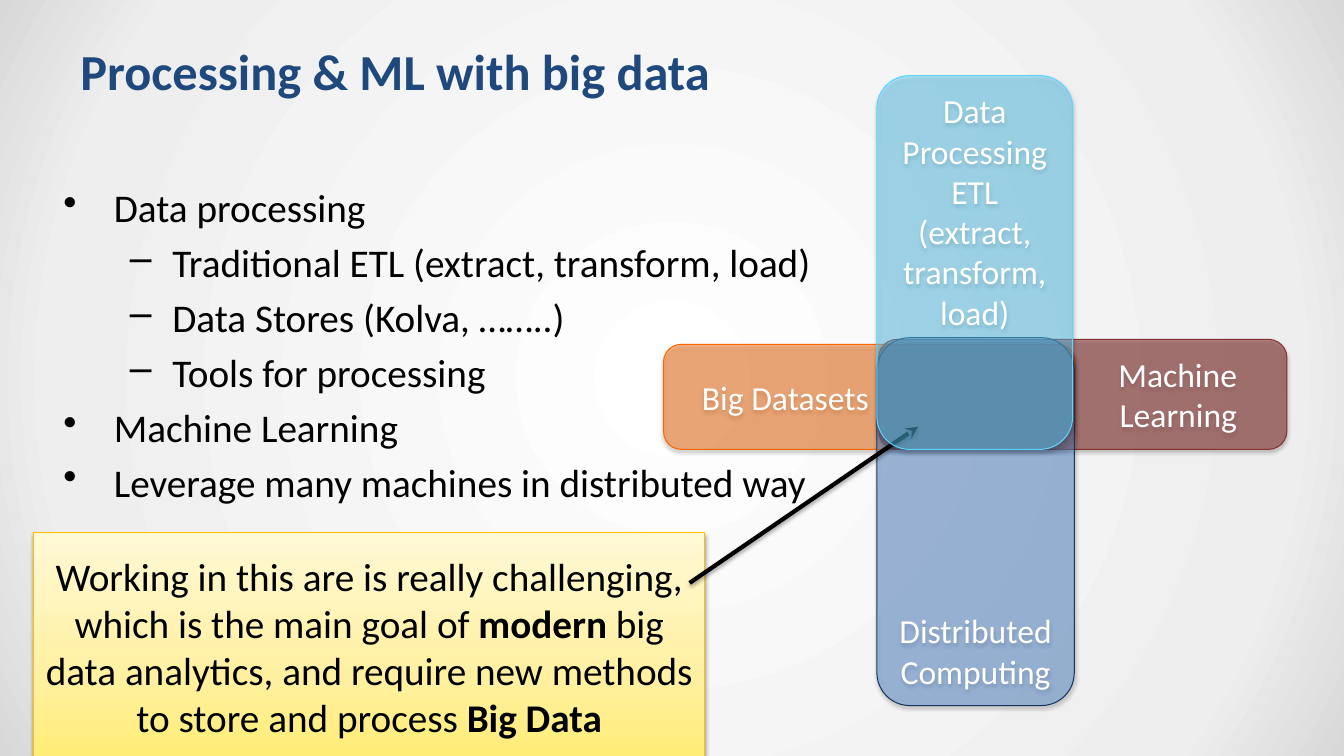
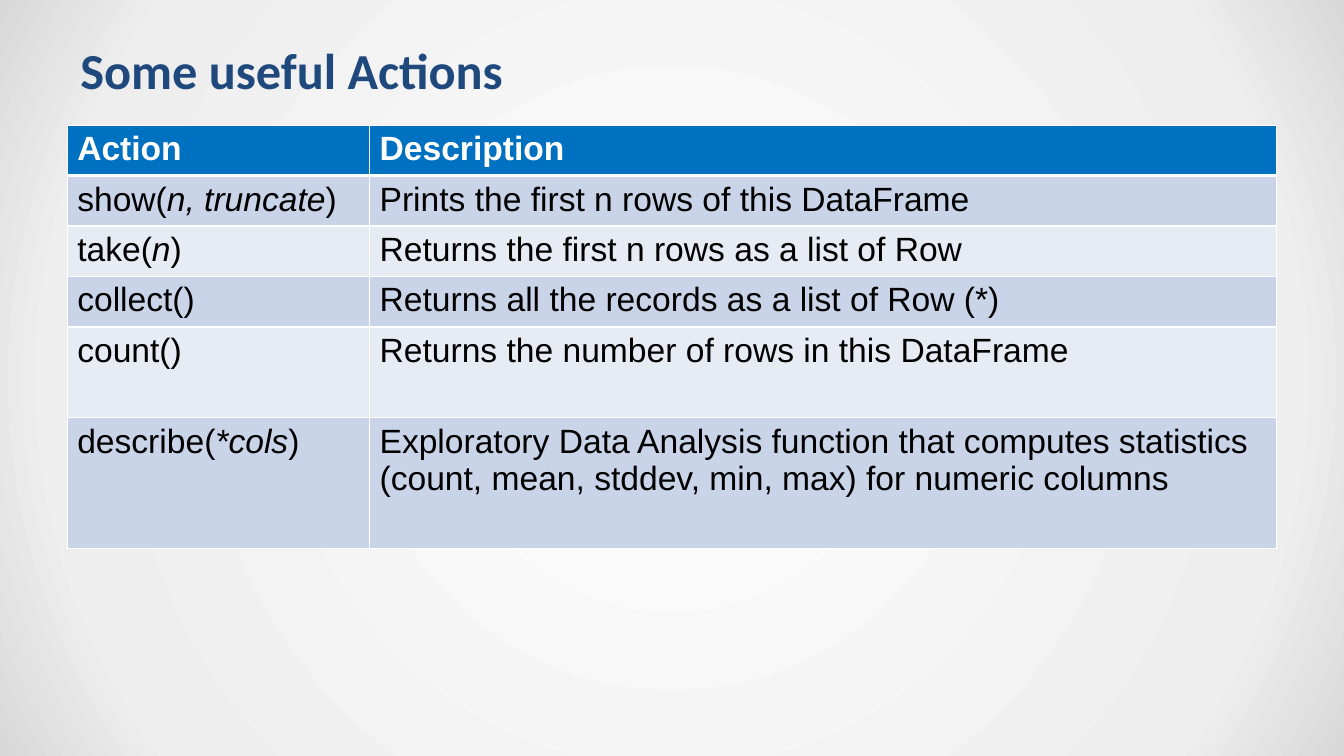
from lxml import etree
from pptx import Presentation
from pptx.dml.color import RGBColor
from pptx.enum.shapes import MSO_CONNECTOR, MSO_SHAPE
from pptx.enum.text import MSO_ANCHOR, PP_ALIGN
from pptx.oxml import parse_xml
from pptx.oxml.ns import nsdecls, qn
from pptx.util import Inches, Pt

LEFT, CENTER, RIGHT = PP_ALIGN.LEFT, PP_ALIGN.CENTER, PP_ALIGN.RIGHT
TOP, MIDDLE, BOTTOM = MSO_ANCHOR.TOP, MSO_ANCHOR.MIDDLE, MSO_ANCHOR.BOTTOM
ROUNDED, RECTANGLE = MSO_SHAPE.FLOWCHART_ALTERNATE_PROCESS, MSO_SHAPE.RECTANGLE

BLACK = RGBColor(0x00, 0x00, 0x00)
WHITE = RGBColor(0xFF, 0xFF, 0xFF)
NAVY = RGBColor(0x1F, 0x49, 0x7D)
ORANGE = RGBColor(0xFF, 0x66, 0x00)
MAROON = RGBColor(0x86, 0x32, 0x2F)
BLUE = RGBColor(0x53, 0x8C, 0xD5)
DEEP_BLUE = RGBColor(0x17, 0x36, 0x5D)
SKY = RGBColor(0x5D, 0xD3, 0xFF)
GOLD = RGBColor(0xFF, 0xBE, 0x00)
HEADER_BLUE = RGBColor(0x00, 0x70, 0xC0)
BANDS = RGBColor(0xCA, 0xD4, 0xE8), RGBColor(0xE6, 0xEB, 0xF4)
BACKDROP = [(0, WHITE), (81, RGBColor(0xEE, 0xEE, 0xEE)), (100, RGBColor(0xD8, 0xD8, 0xD8))]
NOTE_YELLOWS = [(0, RGBColor(0xFF, 0xED, 0x74)), (35, RGBColor(0xFF, 0xF0, 0x9F)),
                (100, RGBColor(0xFF, 0xF9, 0xD6))]
CENTRED_CIRCLE = '<a:path path="circle"><a:fillToRect l="50000" t="50000" r="50000" b="50000"/></a:path>'
UPWARD = '<a:lin ang="16200000" scaled="0"/>'

# All places are in cells of a grid of 160 columns by 90 rows
COLS, ROWS = 160, 90
SLIDE_W, SLIDE_H = Inches(13.333), Inches(7.5)
TITLE_LEFT, TITLE_TOP = 8, 3.6
PAD = (0.1, 0.05, 0.1, 0.05)
TEXT_PAD = (0.13, 0.07, 0.13, 0.07)

# Level of each topic, then its text
TOPICS = [
    (0, "Data processing"),
    (1, "Traditional ETL (extract, transform, load)"),
    (1, "Data Stores (Kolva, ……..)"),
    (1, "Tools for processing"),
    (0, "Machine Learning"),
    (0, "Leverage many machines in distributed way"),
]
BULLETS = [("•", 0.5, -0.5), ("–", 1.08, -0.42)]  # mark, margin, indent

# Place, fill, opacity, outline, paragraphs, alignment, anchor, padding
ARMS = [
    ((79, 41, 49, 12.5), ORANGE, 45, ORANGE, ["Big Datasets"],
     LEFT, MIDDLE, (0.33, 0.05, 0.1, 0.05)),
    ((104.6, 40.4, 48.6, 13.1), MAROON, 57, MAROON, ["Machine", "Learning"],
     RIGHT, MIDDLE, (0.1, 0.05, 0.44, 0.05)),
    ((104.4, 40.2, 23.5, 43.8), BLUE, 45, DEEP_BLUE, ["Distributed Computing"],
     CENTER, BOTTOM, PAD),
]
ETL_ARM = ((104.4, 9, 23.3, 44.5), SKY, 45, SKY,
           ["Data Processing ETL (extract, transform, load)"], CENTER, TOP, PAD)

# In a tuple of text parts, every second part is emphasised
NOTE = ("Working in this are is really challenging, which is the main goal of ", "modern",
        " big data analytics, and require new methods to store and process ", "Big Data")
NOTE_PLACE = (4, 63.4, 79.9, 27.1)
ARROW = (82.1, 69.4), (109.3, 50.8)

ACTIONS = [
    (("Action",), "Description", 6),
    (("show(", "n, truncate", ")"), "Prints the first n rows of this DataFrame", 6),
    (("take(", "n", ")"), "Returns the first n rows as a list of Row", 6),
    (("collect()",), "Returns all the records as a list of Row (*)", 6),
    (("count()",), "Returns the number of rows in this DataFrame", 10.8),
    (("describe(", "*cols", ")"), "Exploratory Data Analysis function that computes statistics "
     "(count, mean, stddev, min, max) for numeric columns", 15.6),
]
ACTION_COLUMNS = (36, 108)


def x(cols):
    return int(SLIDE_W * cols / COLS)


def y(rows):
    return int(SLIDE_H * rows / ROWS)


def box(left, top, width, height):
    return x(left), y(top), x(width), y(height)


def make_gradient(fill, parent, stops, direction):
    """Turn the fill held by parent into a gradient of any number of stops."""
    fill.solid()
    marks = "".join(f'<a:gs pos="{pos * 1000}"><a:srgbClr val="{color}"/></a:gs>'
                    for pos, color in stops)
    solid = next(parent.iter(qn("a:solidFill")))
    solid.getparent().replace(solid, parse_xml(
        f'<a:gradFill {nsdecls("a")} rotWithShape="1"><a:gsLst>{marks}</a:gsLst>{direction}</a:gradFill>'))


def add_shadow(properties):
    """Give a shape or connector a soft shadow straight below it."""
    properties.append(parse_xml(
        f'<a:effectLst {nsdecls("a")}><a:outerShdw blurRad="{Pt(3.1)}" dist="{Pt(1.8)}" dir="5400000"'
        ' rotWithShape="0"><a:srgbClr val="000000"><a:alpha val="35000"/></a:srgbClr>'
        '</a:outerShdw></a:effectLst>'))


def style(paragraph, size, color, font="Calibri", bold=False, align=LEFT):
    paragraph.alignment = align
    paragraph.font.size, paragraph.font.name = Pt(size), font
    paragraph.font.color.rgb, paragraph.font.bold = color, bold


def add_parts(paragraph, parts, emphasis):
    for index, part in enumerate(parts):
        run = paragraph.add_run()
        run.text = part
        if index % 2:
            setattr(run.font, emphasis, True)


def set_frame(frame, padding, anchor):
    frame.word_wrap = True
    frame.vertical_anchor = anchor
    (frame.margin_left, frame.margin_top,
     frame.margin_right, frame.margin_bottom) = map(Inches, padding)


def add_paragraphs(frame, texts):
    frame.text = "\n".join(texts)
    return frame.paragraphs


def add_titled_slide(prs, title, width, height):
    slide = prs.slides.add_slide(prs.slide_layouts[6])
    frame = slide.shapes.add_textbox(*box(TITLE_LEFT, TITLE_TOP, width, height)).text_frame
    set_frame(frame, TEXT_PAD, MIDDLE)
    style(add_paragraphs(frame, [title])[0], 36, NAVY, bold=True)
    return slide


def add_panel(slide, preset, place, outline, padding, anchor):
    panel = slide.shapes.add_shape(preset, *box(*place))
    panel.line.color.rgb, panel.line.width = outline, Pt(0.75)
    add_shadow(panel.element.spPr)
    set_frame(panel.text_frame, padding, anchor)
    return panel


def add_arm(slide, place, color, opacity, outline, texts, align, anchor, padding):
    arm = add_panel(slide, ROUNDED, place, outline, padding, anchor)
    arm.fill.solid()
    arm.fill.fore_color.rgb = color
    shade = arm.element.spPr.find(qn("a:solidFill"))[0]
    etree.SubElement(shade, qn("a:alpha")).set("val", str(opacity * 1000))
    for paragraph in add_paragraphs(arm.text_frame, texts):
        style(paragraph, 24, WHITE, align=align)


def add_topics(slide):
    frame = slide.shapes.add_textbox(*box(6, 21, 154, 69)).text_frame
    set_frame(frame, TEXT_PAD, TOP)
    paragraphs = add_paragraphs(frame, [text for _, text in TOPICS])
    for index, (paragraph, (level, _)) in enumerate(zip(paragraphs, TOPICS)):
        style(paragraph, 28, BLACK)
        paragraph.level = level
        paragraph.space_before = Pt(5.6 if index else 0)
        mark, margin, indent = BULLETS[level]
        properties = paragraph._p.get_or_add_pPr()
        properties.set("marL", str(Inches(margin)))
        properties.set("indent", str(Inches(indent)))
        bullet = parse_xml(f'<a:buChar {nsdecls("a")} char="{mark}"/>')
        properties.find(qn("a:defRPr")).addprevious(bullet)


def add_note(slide):
    note = add_panel(slide, RECTANGLE, NOTE_PLACE, GOLD, PAD, MIDDLE)
    make_gradient(note.fill, note.element.spPr, NOTE_YELLOWS, UPWARD)
    paragraph = note.text_frame.paragraphs[0]
    style(paragraph, 28, BLACK, align=CENTER)
    add_parts(paragraph, NOTE, "bold")


def add_arrow(slide):
    (x1, y1), (x2, y2) = ARROW
    arrow = slide.shapes.add_connector(MSO_CONNECTOR.STRAIGHT, x(x1), y(y1), x(x2), y(y2))
    arrow.line.color.rgb, arrow.line.width = BLACK, Pt(3)
    properties = arrow.element.spPr
    etree.SubElement(properties.find(qn("a:ln")), qn("a:tailEnd")).set("type", "stealth")
    add_shadow(properties)


def underline_cell(cell):
    """Draw a thick white border below a header cell."""
    cell._tc.get_or_add_tcPr().insert(0, parse_xml(
        f'<a:lnB {nsdecls("a")} w="{Pt(3)}"><a:solidFill><a:srgbClr val="{WHITE}"/></a:solidFill></a:lnB>'))


def add_actions(slide):
    heights = [height for _, _, height in ACTIONS]
    place = box(TITLE_LEFT, 14.9, sum(ACTION_COLUMNS), sum(heights))
    table = slide.shapes.add_table(len(ACTIONS), len(ACTION_COLUMNS), *place).table
    for column, width in zip(table.columns, ACTION_COLUMNS):
        column.width = x(width)
    for index, (action, description, height) in enumerate(ACTIONS):
        table.rows[index].height = y(height)
        header = index == 0
        for cell, parts in zip(table.rows[index].cells, (action, (description,))):
            cell.fill.solid()
            cell.fill.fore_color.rgb = HEADER_BLUE if header else BANDS[(index - 1) % 2]
            if header:
                underline_cell(cell)
            paragraph = cell.text_frame.paragraphs[0]
            style(paragraph, 24, WHITE if header else BLACK, "Arial", bold=header)
            add_parts(paragraph, parts, "italic")


def main():
    prs = Presentation()
    prs.slide_width, prs.slide_height = SLIDE_W, SLIDE_H
    master = prs.slide_master
    make_gradient(master.background.fill, master.element, BACKDROP, CENTRED_CIRCLE)

    overview = add_titled_slide(prs, "Processing & ML with big data", 93, 9.6)
    add_topics(overview)
    for arm in ARMS:
        add_arm(overview, *arm)
    add_note(overview)
    add_arrow(overview)
    add_arm(overview, *ETL_ARM)

    add_actions(add_titled_slide(prs, "Some useful Actions", 144, 9.4))
    prs.save("out.pptx")


if __name__ == "__main__":
    main()
